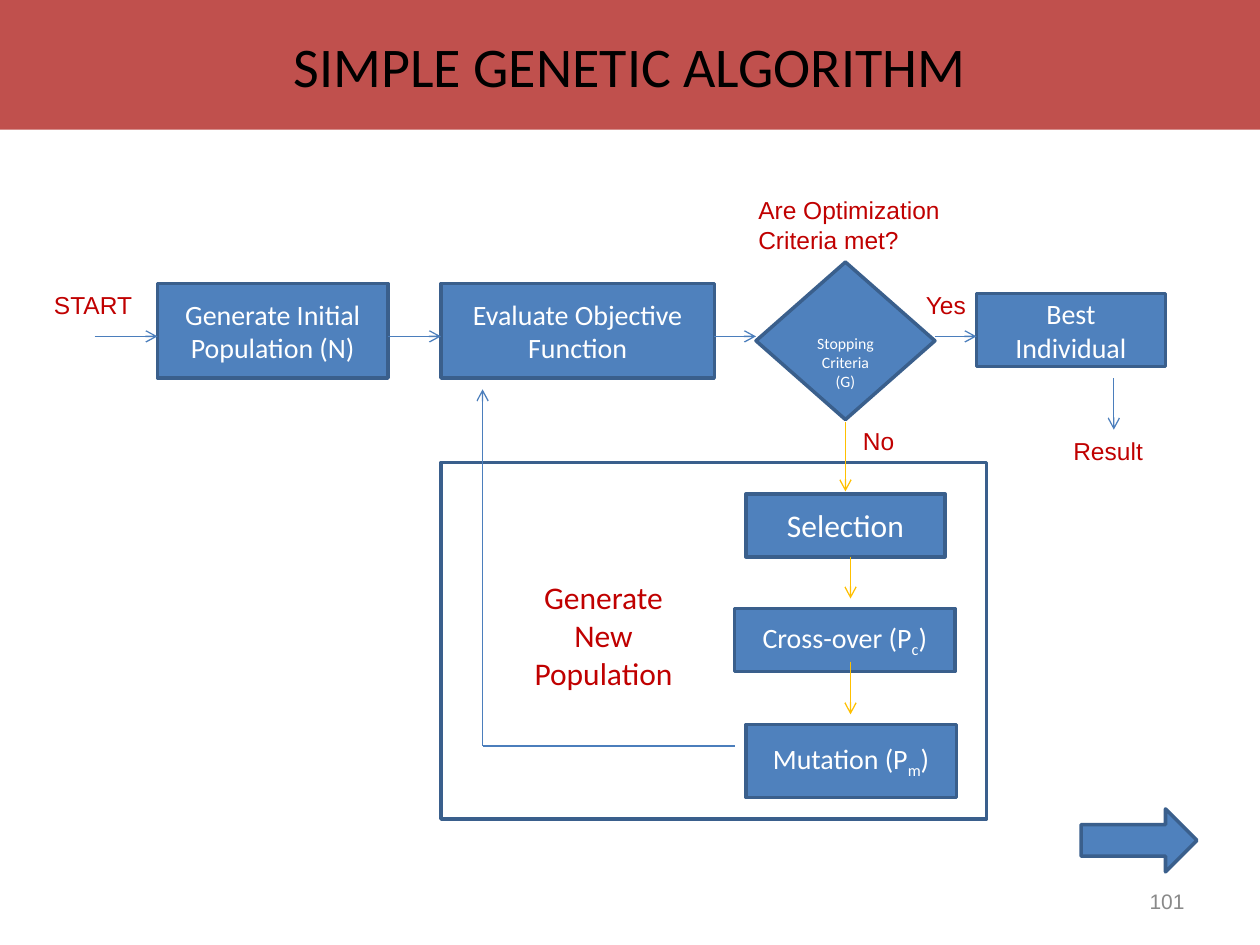
from lxml.etree import SubElement
from pptx import Presentation
from pptx.dml.color import RGBColor
from pptx.enum.shapes import MSO_CONNECTOR, MSO_SHAPE as Shape
from pptx.enum.text import MSO_ANCHOR as Anchor, PP_ALIGN as Align
from pptx.oxml.ns import qn
from pptx.util import Inches, Pt

BLUE, DARK_BLUE, LINE_BLUE = "4F81BD", "3A5F8C", "4B7EBC"
RED, GOLD, WHITE = "C00000", "FFC000", "FFFFFF"


def style(shape, fill, line):
    """Set fill and outline; None leaves either one out."""
    shape.shadow.inherit = False
    if fill:
        shape.fill.solid()
        shape.fill.fore_color.rgb = RGBColor.from_string(fill)
    else:
        shape.fill.background()
    if line:
        shape.line.color.rgb = RGBColor.from_string(line)
        shape.line.width = Pt(2)
    else:
        shape.line.fill.background()


def write(shape, text, size, color, font="Calibri", align=Align.CENTER,
          anchor=Anchor.MIDDLE, wrap=True):
    """Write one paragraph per line; a part between underscores is subscript."""
    frame = shape.text_frame
    frame.word_wrap = wrap
    frame.vertical_anchor = anchor
    for index, line in enumerate(text.split("\n")):
        paragraph = frame.add_paragraph() if index else frame.paragraphs[0]
        paragraph.alignment = align
        for part, words in enumerate(line.split("_")):
            run = paragraph.add_run()
            run.text = words
            run.font.size = Pt(size)
            run.font.name = font
            run.font.color.rgb = RGBColor.from_string(color)
            if part % 2:
                run.font._element.set("baseline", "-25000")


presentation = Presentation()
presentation.slide_width = Inches(10)
presentation.slide_height = Inches(7.5)
slide = presentation.slides.add_slide(presentation.slide_layouts[6])
shapes = slide.shapes

title = shapes.add_shape(Shape.RECTANGLE, 0, 0, Inches(10), Inches(1.03))
style(title, "C0504D", None)
write(title, "SIMPLE GENETIC ALGORITHM", 32, "000000")

# Steps of the algorithm; the frame comes before the steps inside it
steps = [
    (Shape.RECTANGLE, 1.25, 2.25, 1.83, 0.75, "Generate Initial Population (N)", 16),
    (Shape.RECTANGLE, 3.5, 2.25, 2.17, 0.75, "Evaluate Objective Function", 16),
    (Shape.RECTANGLE, 7.75, 2.33, 1.5, 0.58, "Best Individual", 16),
    (Shape.FLOWCHART_PROCESS, 3.5, 3.67, 4.33, 2.83, "", 0),
    (Shape.RECTANGLE, 5.92, 3.92, 1.58, 0.5, "Selection", 18),
    (Shape.RECTANGLE, 5.83, 4.83, 1.75, 0.5, "Cross-over (P_c_)", 16),
    (Shape.RECTANGLE, 5.92, 5.75, 1.67, 0.58, "Mutation (P_m_)", 16),
    (Shape.RIGHT_ARROW, 8.58, 6.42, 0.92, 0.5, "", 0),
]
for kind, left, top, width, height, text, size in steps:
    step = shapes.add_shape(kind, Inches(left), Inches(top), Inches(width), Inches(height))
    style(step, None if kind == Shape.FLOWCHART_PROCESS else BLUE, DARK_BLUE)
    if text:
        write(step, text, size, WHITE)

decision = shapes.add_shape(Shape.FLOWCHART_DECISION, Inches(6), Inches(2.08),
                            Inches(1.42), Inches(1.25))
style(decision, BLUE, DARK_BLUE)
write(decision, "Stopping Criteria\n(G)", 9, WHITE, anchor=Anchor.TOP)
decision.text_frame.margin_top = Inches(0.26)
decision.text_frame.margin_bottom = 0

labels = [
    ("START", 0.33, 2.25, 0.83, 0.34),
    ("Are Optimization\nCriteria met?", 5.92, 1.5, 1.7, 0.57),
    ("Yes", 7.25, 2.25, 0.52, 0.34),
    ("No", 6.75, 3.33, 0.45, 0.34),
    ("Result", 8.42, 3.41, 0.76, 0.34),
]
for text, left, top, width, height in labels:
    label = shapes.add_textbox(Inches(left), Inches(top), Inches(width), Inches(height))
    write(label, text, 14, RED, "Arial", Align.LEFT, Anchor.TOP, wrap=False)

new_population = shapes.add_textbox(Inches(4), Inches(4.5), Inches(1.58), Inches(1.08))
write(new_population, "Generate\nNew Population", 18, RED)

page_number = shapes.add_textbox(Inches(7.17), Inches(6.95), Inches(2.33), Inches(0.4))
write(page_number, "101", 12, "898989", "Arial", Align.RIGHT)

connections = [
    (0.75, 2.67, 1.25, 2.67, LINE_BLUE, True),
    (3.08, 2.67, 3.5, 2.67, LINE_BLUE, True),
    (5.67, 2.67, 6, 2.67, LINE_BLUE, True),
    (7.42, 2.67, 7.75, 2.67, LINE_BLUE, True),
    (8.84, 3, 8.84, 3.41, LINE_BLUE, True),
    (6.71, 3.35, 6.71, 3.9, GOLD, True),
    (6.75, 4.42, 6.75, 4.75, GOLD, True),
    (6.75, 5.25, 6.75, 5.67, GOLD, True),
    (3.83, 5.92, 3.83, 3.09, LINE_BLUE, True),
    (3.83, 5.92, 5.83, 5.92, LINE_BLUE, False),
]
for *ends, color, has_arrow in connections:
    connector = shapes.add_connector(MSO_CONNECTOR.STRAIGHT, *map(Inches, ends))
    connector.line.color.rgb = RGBColor.from_string(color)
    connector.line.width = Pt(0.75)
    if has_arrow:
        SubElement(connector.line._get_or_add_ln(), qn("a:tailEnd"), type="arrow")
    SubElement(connector._element.spPr, qn("a:effectLst"))

presentation.save("out.pptx")
